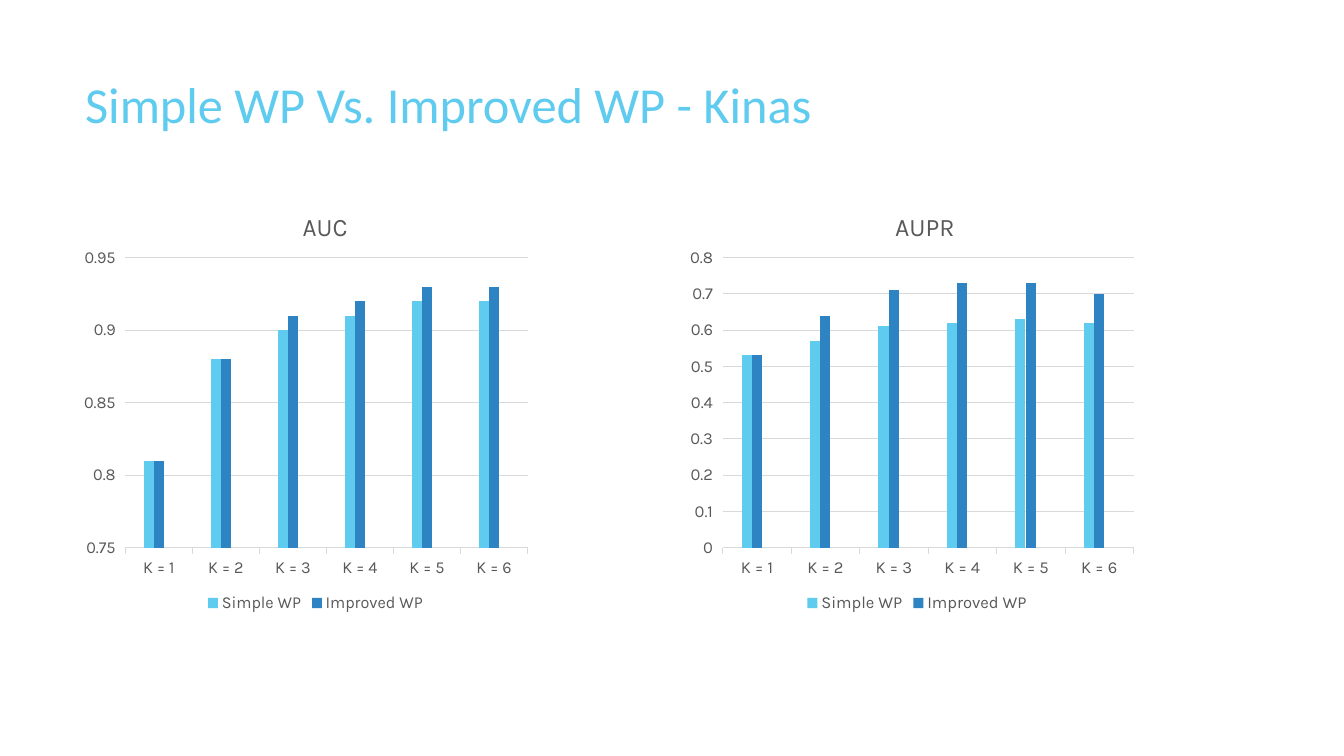
from lxml.etree import SubElement
from pptx import Presentation
from pptx.chart.data import CategoryChartData
from pptx.dml.color import RGBColor
from pptx.enum.chart import XL_CHART_TYPE, XL_LEGEND_POSITION, XL_TICK_MARK
from pptx.enum.text import MSO_ANCHOR, PP_ALIGN
from pptx.oxml import parse_xml
from pptx.oxml.ns import nsdecls, qn
from pptx.util import Emu, Pt

EMU_PER_PX = 914400 / 100.8
SKY = RGBColor(0x5F, 0xCB, 0xEF)
BLUE = RGBColor(0x2E, 0x83, 0xC3)
GREEN = RGBColor(0x42, 0xD0, 0xA2)
GRAY = RGBColor(0x59, 0x59, 0x59)
LIGHT_GRAY = RGBColor(0xD9, 0xD9, 0xD9)

CATEGORIES = [f"K = {k}" for k in range(1, 7)]
SERIES_COLORS = {"Simple WP": SKY, "Improved WP": BLUE, "Series 3": GREEN}
EMPTY_SERIES = [None] * len(CATEGORIES)
AUC = [[0.81, 0.88, 0.9, 0.91, 0.92, 0.92],
       [0.81, 0.88, 0.91, 0.92, 0.93, 0.93], EMPTY_SERIES]
AUPR = [[0.53, 0.57, 0.61, 0.62, 0.63, 0.62],
        [0.53, 0.64, 0.71, 0.73, 0.73, 0.7], EMPTY_SERIES]


def px(length):
    return Emu(round(length * EMU_PER_PX))


def style_font(font, name, size, color):
    font.name = name
    font.size = Pt(size)
    font.bold = False
    font.color.rgb = color


def style_line(line):
    line.color.rgb = LIGHT_GRAY
    line.width = Pt(0.75)


def layout_xml(**fractions):
    """Manual chart layout; x, y, w and h are fractions of the chart."""
    target = '<c:layoutTarget val="inner"/>' if "w" in fractions else ""
    modes = '<c:xMode val="edge"/><c:yMode val="edge"/>'
    sizes = "".join(f'<c:{key} val="{value}"/>' for key, value in fractions.items())
    return parse_xml(f'<c:layout {nsdecls("c")}><c:manualLayout>'
                     f'{target}{modes}{sizes}</c:manualLayout></c:layout>')


def set_layout(parent, position, **fractions):
    for old_layout in parent.findall(qn("c:layout")):
        parent.remove(old_layout)
    parent.insert(position, layout_xml(**fractions))


def add_title(slide, left, top, width, height):
    title = slide.shapes.title
    title.left, title.top, title.width, title.height = map(px, (left, top, width, height))
    frame = title.text_frame
    frame.text = "Simple WP Vs. Improved WP - Kinas"
    frame.vertical_anchor = MSO_ANCHOR.TOP
    paragraph = frame.paragraphs[0]
    paragraph.alignment = PP_ALIGN.LEFT
    style_font(paragraph.runs[0].font, "Calibri", 36, SKY)


def style_axes(chart, minimum, maximum, step):
    value_axis, category_axis = chart.value_axis, chart.category_axis
    value_axis.minimum_scale = minimum
    value_axis.maximum_scale = maximum
    value_axis.major_unit = step
    value_axis.format.line.fill.background()
    style_line(value_axis.major_gridlines.format.line)
    style_line(category_axis.format.line)
    for axis in (value_axis, category_axis):
        axis.major_tick_mark = XL_TICK_MARK.OUTSIDE
        style_font(axis.tick_labels.font, "Karla", 12, GRAY)


def add_legend(chart):
    """Legend below the plot, without the empty series that pads each group."""
    chart.has_legend = True
    legend = chart.legend
    legend.position = XL_LEGEND_POSITION.BOTTOM
    legend.include_in_layout = False
    style_font(legend.font, "Karla", 12, GRAY)
    entry = parse_xml(f'<c:legendEntry {nsdecls("c")}/>')
    SubElement(entry, qn("c:idx")).set("val", str(len(SERIES_COLORS) - 1))
    SubElement(entry, qn("c:delete")).set("val", "1")
    legend._element.insert(1, entry)


def add_score_chart(slide, left, top, width, height, name, name_left, scores, scale):
    data = CategoryChartData()
    data.categories = CATEGORIES
    for series_name, values in zip(SERIES_COLORS, scores):
        data.add_series(series_name, values)
    chart = slide.shapes.add_chart(XL_CHART_TYPE.COLUMN_CLUSTERED,
                                   *map(px, (left, top, width, height)), data).chart
    chart.font.name = "Karla"
    chart.font.size = Pt(10)

    chart.has_title = True
    title = chart.chart_title
    title.include_in_layout = False
    title.text_frame.text = name
    style_font(title.text_frame.paragraphs[0].runs[0].font, "Karla", 18, GRAY)
    set_layout(title._element, 1, x=name_left, y=0.05)

    plot = chart.plots[0]
    plot.gap_width = 372
    plot.overlap = -3
    plot.vary_by_categories = False
    for series, color in zip(plot.series, SERIES_COLORS.values()):
        series.format.fill.solid()
        series.format.fill.fore_color.rgb = color
    plot_area = chart._chartSpace.chart.plotArea
    set_layout(plot_area, 0, x=0.06, y=0.17, w=0.93, h=0.67)

    style_axes(chart, *scale)
    add_legend(chart)


def main():
    presentation = Presentation()
    presentation.slide_width, presentation.slide_height = px(1344), px(756)
    slide = presentation.slides.add_slide(presentation.slide_layouts[5])
    add_title(slide, 75, 68, 948, 145)
    add_score_chart(slide, 84, 184, 448, 433, "AUC", 0.46, AUC, (0.75, 0.95, 0.05))
    add_score_chart(slide, 690, 184, 448, 433, "AUPR", 0.44, AUPR, (0, 0.8, 0.1))
    presentation.save("out.pptx")


if __name__ == "__main__":
    main()
